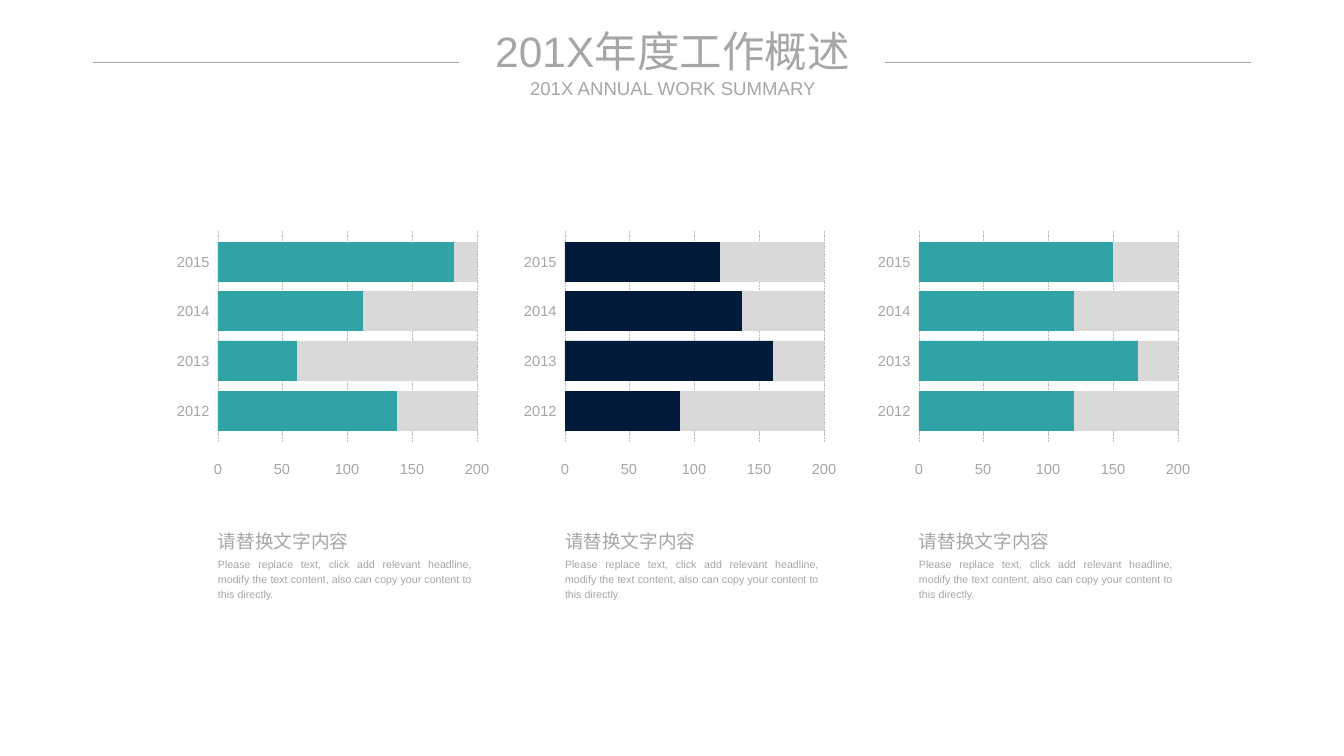
import lxml.etree
import pptx
import pptx.dml.color
import pptx.enum.dml
import pptx.enum.shapes
import pptx.enum.text
import pptx.oxml.ns
import pptx.util

ALIGN = pptx.enum.text.PP_ALIGN
ANCHOR = pptx.enum.text.MSO_ANCHOR
FIT = pptx.enum.text.MSO_AUTO_SIZE.SHAPE_TO_FIT_TEXT
DASH = pptx.enum.dml.MSO_LINE.SQUARE_DOT
SCALE = 9565
GREY, GRID, TRACK, TEAL, NAVY = "A6A6A6", "BFBFBF", "D9D9D9", "2FA3A5", "041A3B"
YEARS = ["2015", "2014", "2013", "2012"]
TICKS = [0, 50, 100, 150, 200]
PLOT_WIDTH, BAR_TOP, BAR_HEIGHT = 259, 242, 40
PANELS = [
    (218, TEAL, [182, 112, 61, 138]),
    (565, NAVY, [120, 137, 161, 89]),
    (919, TEAL, [150, 120, 169, 120]),
]
HEADING = "请替换文字内容"
BODY = ("Please replace text, click add relevant headline, modify the text content, "
        "also can copy your content to this directly.")


def px(*lengths):
    """Turn whole pixels into EMU."""
    return [pptx.util.Emu(n * SCALE) for n in lengths]


def rgb(code):
    """Turn a hex string into a colour."""
    return pptx.dml.color.RGBColor.from_string(code)


def apply(target, formats):
    """Set every attribute named in a dict of format values."""
    for name, value in formats.items():
        setattr(target, name, value)


def write(sp, text, size, align, inset=0, **formats):
    """Put one formatted paragraph into a shape."""
    tf = sp.text_frame
    tf.text = text
    if inset is not None:
        apply(tf, dict.fromkeys(
            ["margin_left", "margin_top", "margin_right", "margin_bottom"], inset))
    apply(tf, {"word_wrap": True, "auto_size": FIT} | formats)
    p = tf.paragraphs[0]
    apply(p, {"alignment": align, "space_before": pptx.util.Pt(0)})
    r = p.runs[0]
    apply(r.font, {"name": "Arial", "size": pptx.util.Pt(size)})
    r.font.color.rgb = rgb(GREY)
    return p


def add_text(shapes, box, text, size, align, **formats):
    """Add a text box with loose line spacing."""
    sp = shapes.add_textbox(*px(*box))
    write(sp, text, size, align, **formats).line_spacing = 1.2


def add_label(shapes, center, top, text, align):
    """Add a chart label on one line around a centre."""
    width = 20 + 8 * len(text)
    add_text(shapes, (center - width // 2, top, width, 31), text, 11, align,
             inset=None, word_wrap=False)


def add_line(shapes, start, end, color, dash=None):
    """Add a thin straight line."""
    sp = shapes.add_connector(pptx.enum.shapes.MSO_CONNECTOR.STRAIGHT, *px(*start, *end))
    apply(sp.line, {"width": pptx.util.Pt(0.5), "dash_style": dash})
    sp.line.color.rgb = rgb(color)
    lxml.etree.SubElement(sp._element.spPr, pptx.oxml.ns.qn("a:effectLst"))


def add_bar(shapes, left, top, width, color):
    """Add a flat bar."""
    sp = shapes.add_shape(pptx.enum.shapes.MSO_SHAPE.RECTANGLE,
                          *px(left, top, width, BAR_HEIGHT))
    sp.shadow.inherit = False
    sp.fill.solid()
    sp.fill.fore_color.rgb = rgb(color)
    sp.line.fill.background()


def add_panel(s, left, color, values):
    """Add a grouped bar panel with its caption."""
    shapes = s.shapes.add_group_shape().shapes
    for tick in TICKS:
        x = left + PLOT_WIDTH * tick // TICKS[-1]
        add_line(shapes, (x, 231), (x, 442), GRID, DASH)
        add_label(shapes, x, 452, str(tick), ALIGN.CENTER)
    for i, (year, value) in enumerate(zip(YEARS, values)):
        top = BAR_TOP + 149 * i // 3
        add_bar(shapes, left, top, PLOT_WIDTH, TRACK)
        add_bar(shapes, left, top, round(PLOT_WIDTH * value / TICKS[-1]), color)
        add_label(shapes, left - 25, top + 3, year, ALIGN.RIGHT)
    add_text(s.shapes, (left, 525, 174, 27), HEADING, 14, ALIGN.LEFT)
    add_text(s.shapes, (left, 555, 254, 45), BODY, 8, ALIGN.JUSTIFY)


def add_header(s):
    """Fill the title and subtitle and flank them with lines."""
    title, subtitle = s.placeholders
    for sp, box, text, size in [
        (title, (466, 25, 413, 52), "201X年度工作概述", 32),
        (subtitle, (526, 77, 294, 23), "201X ANNUAL WORK SUMMARY", 14),
    ]:
        apply(sp, dict(zip(["left", "top", "width", "height"], px(*box))))
        write(sp, text, size, ALIGN.CENTER, vertical_anchor=ANCHOR.MIDDLE)
    for x in (93, 885):
        add_line(s.shapes, (x, 62), (x + 366, 62), GREY)


def main():
    """Build the annual summary slide."""
    prs = pptx.Presentation()
    prs.slide_width, prs.slide_height = px(1344, 756)
    s = prs.slides.add_slide(prs.slide_layouts[0])
    add_header(s)
    for left, color, values in PANELS:
        add_panel(s, left, color, values)
    prs.save("out.pptx")


if __name__ == "__main__":
    main()
